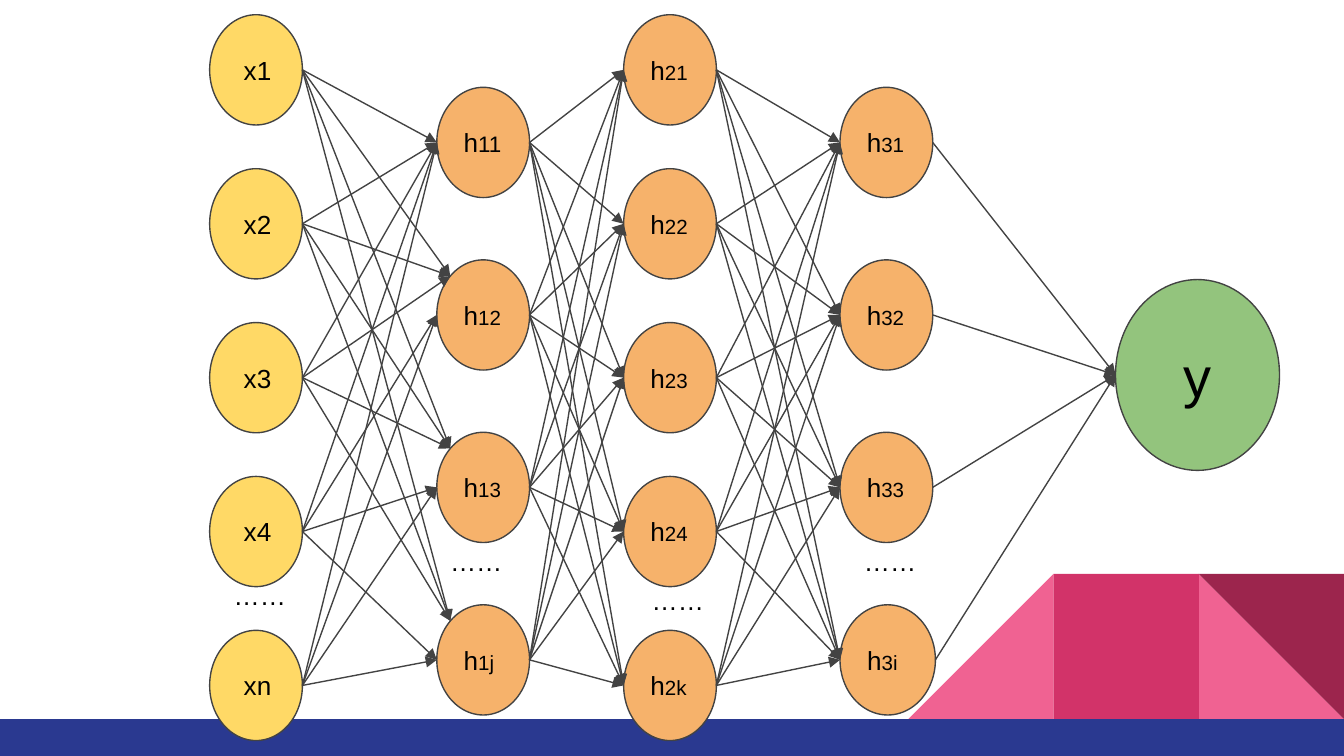
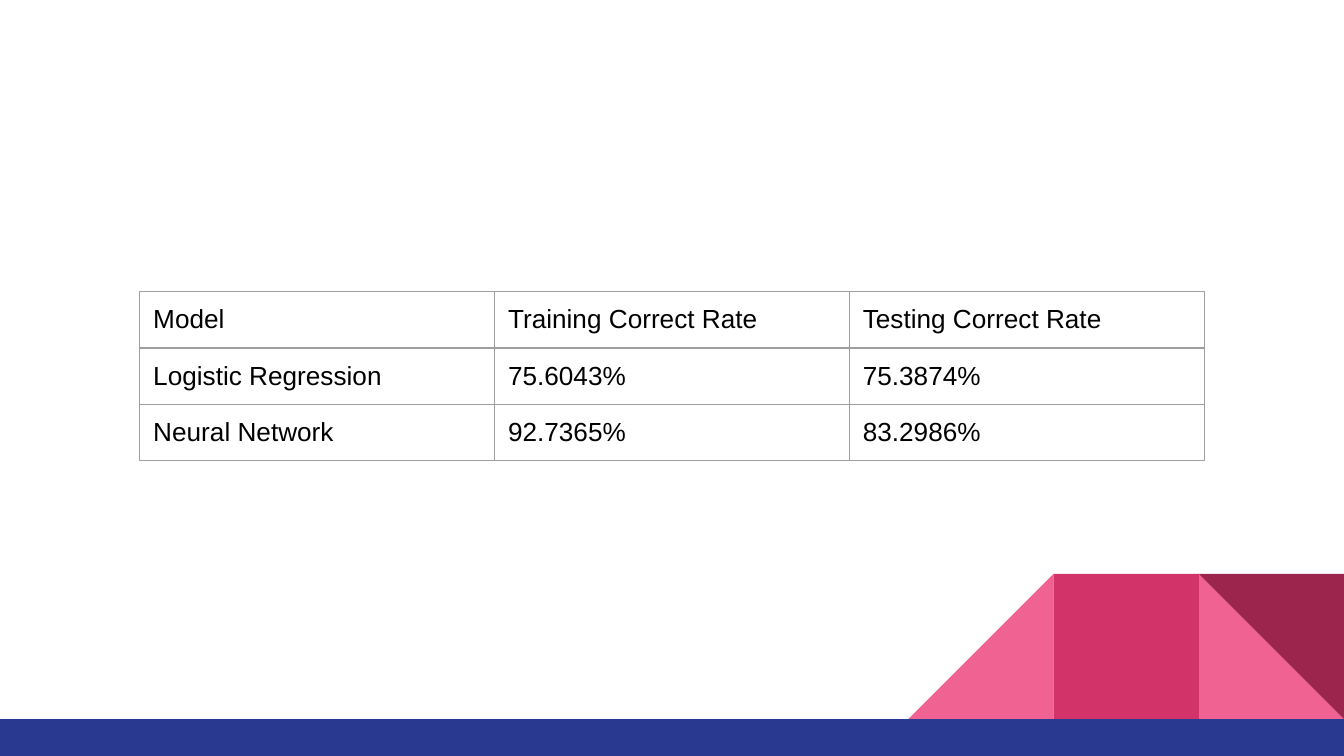
from itertools import product

from lxml.etree import SubElement
from pptx import Presentation
from pptx.dml.color import RGBColor
from pptx.enum.shapes import MSO_CONNECTOR as Link, MSO_SHAPE as Form
from pptx.enum.text import MSO_ANCHOR as Anchor, PP_ALIGN as Align
from pptx.oxml.ns import qn
from pptx.util import Inches, Pt

PINK, ROSE, WINE, NAVY = "F06292", "D23369", "9C254D", "2A3990"
YELLOW, ORANGE, GREEN = "FFD966", "F6B26B", "93C47D"
BLACK, GRAY, RULE = "000000", "434343", "9E9E9E"
MARGINS = {f"margin_{side}": Inches(0.1) for side in ("left", "top", "right", "bottom")}


def paint(target, color):
    """Give the fill of a shape, line or font one solid colour."""
    target.fill.solid()
    target.fill.fore_color.rgb = RGBColor.from_string(color)


def write(paragraph, *spans):
    """Fill a paragraph with (text, size) spans."""
    paragraph.alignment = Align.LEFT
    for text, size in spans:
        span = paragraph.add_run()
        span.text = text
        for name, value in {"name": "Arial", "size": Pt(size), "bold": False}.items():
            setattr(span.font, name, value)
        paint(span.font, BLACK)


deck = Presentation()
deck.slide_width = Inches(10)
deck.slide_height = Inches(10) * 9 // 16

# Shared decoration, placed on the layout
layout = deck.slide_layouts[6]
for holder in list(layout.placeholders):
    holder.element.getparent().remove(holder.element)
network_page = deck.slides.add_slide(layout)
results_page = deck.slides.add_slide(layout)

side = 1.08
decoration = [
    (Form.RIGHT_TRIANGLE, 8.92, 4.27, side, side, PINK, 0, False),
    (Form.RIGHT_TRIANGLE, 6.76, 4.27, side, side, PINK, 0, True),
    (Form.RECTANGLE, 7.84, 4.27, side, side, ROSE, 0, False),
    (Form.RIGHT_TRIANGLE, 8.92, 4.27, side, side, WINE, 180, False),
    (Form.RECTANGLE, 0, 5.35, 10, 0.28, NAVY, 0, False),
]
for form, left, top, width, height, color, turn, flipped in decoration:
    piece = network_page.shapes.add_shape(form, *map(Inches, (left, top, width, height)))
    piece.shadow.inherit = False
    piece.rotation = turn
    paint(piece, color)
    piece.line.fill.background()
    if flipped:
        piece.element.spPr.find(qn("a:xfrm")).set("flipH", "1")
    layout.shapes.element.append(piece.element)

# Slide 1: network nodes, layer by layer
layers = [
    # prefix, suffixes, left, first top, last top, width, height, colour
    (" x", ["1", "2", "3", "4", "n"], 1.56, 0.11, 4.69, 0.69, 0.82, YELLOW),
    ("h", ["11", "12", "13", "1j"], 3.25, 0.65, 4.5, 0.69, 0.82, ORANGE),
    ("h", ["21", "22", "23", "24", "2k"], 4.64, 0.11, 4.69, 0.69, 0.82, ORANGE),
    ("h", ["31", "32", "33", "3i"], 6.25, 0.65, 4.5, 0.69, 0.82, ORANGE),
    ("y", [""], 8.3, 2.08, 2.08, 1.22, 1.42, GREEN),
]
network = []
for prefix, suffixes, left, first, last, width, height, color in layers:
    step = (last - first) / max(len(suffixes) - 1, 1)
    nodes = []
    for row, suffix in enumerate(suffixes):
        node_width = 0.71 if suffix == "3i" else width
        place = (left, first + row * step, node_width, height)
        node = network_page.shapes.add_shape(Form.OVAL, *map(Inches, place))
        node.shadow.inherit = False
        paint(node, color)
        paint(node.line, GRAY)
        node.line.width = Pt(0.75)
        frame = node.text_frame
        for name, value in {**MARGINS, "word_wrap": True, "vertical_anchor": Anchor.MIDDLE}.items():
            setattr(frame, name, value)
        label = frame.paragraphs[0]
        if prefix == "y":
            write(label, ("y", 30))
            label.alignment = Align.CENTER
        elif prefix == "h":
            write(label, ("h", 14), (suffix, 12 if suffix == "11" else 11))
        else:
            write(label, (prefix + suffix, 14))
        nodes.append(node)
    network.append(nodes)

# Every node points to every node of the next layer
for depth, (sources, targets) in enumerate(zip(network, network[1:])):
    for (i, source), (j, target) in product(enumerate(sources), enumerate(targets)):
        x, y = target.left, target.top + target.height // 2
        if depth == 0 and i < 3 and j > 0:  # these meet the upper left of the oval
            x, y = x + Inches(0.1), target.top + Inches(0.12)
        arrow = network_page.shapes.add_connector(
            Link.STRAIGHT, source.left + source.width, source.top + source.height // 2, x, y)
        paint(arrow.line, GRAY)
        arrow.line.width = Pt(0.75)
        props = arrow.element.spPr
        SubElement(props.find(qn("a:ln")), qn("a:tailEnd"), type="triangle")
        SubElement(props, qn("a:effectLst"))

for left, top in [(1.64, 4.21), (3.25, 3.96), (4.75, 4.25), (6.33, 3.96)]:
    box = network_page.shapes.add_textbox(*map(Inches, (left, top, 0.69, 0.44)))
    for name, value in {**MARGINS, "word_wrap": True}.items():
        setattr(box.text_frame, name, value)
    write(box.text_frame.paragraphs[0], ("……", 14))

# Slide 2: correct rates
rates = [
    ["Model", "Training Correct Rate", "Testing Correct Rate"],
    ["Logistic Regression", "75.6043%", "75.3874%"],
    ["Neural Network", "92.7365%", "83.2986%"],
]
table = results_page.shapes.add_table(
    3, 3, *map(Inches, (1.04, 2.17, 7.92, 1.26))).table
table.first_row = table.horz_banding = False
for row, texts in enumerate(rates):
    table.rows[row].height = Inches(0.42)
    for column, text in enumerate(texts):
        cell = table.cell(row, column)
        for name, value in MARGINS.items():
            setattr(cell, name, value)
        write(cell.text_frame.paragraphs[0], (text, 14))
        props = cell._tc.get_or_add_tcPr()
        for edge in ("lnL", "lnR", "lnT", "lnB"):
            border = SubElement(props, qn(f"a:{edge}"), w=str(Pt(0.75)))
            SubElement(SubElement(border, qn("a:solidFill")), qn("a:srgbClr"), val=RULE)
        cell.fill.background()

deck.save("out.pptx")
